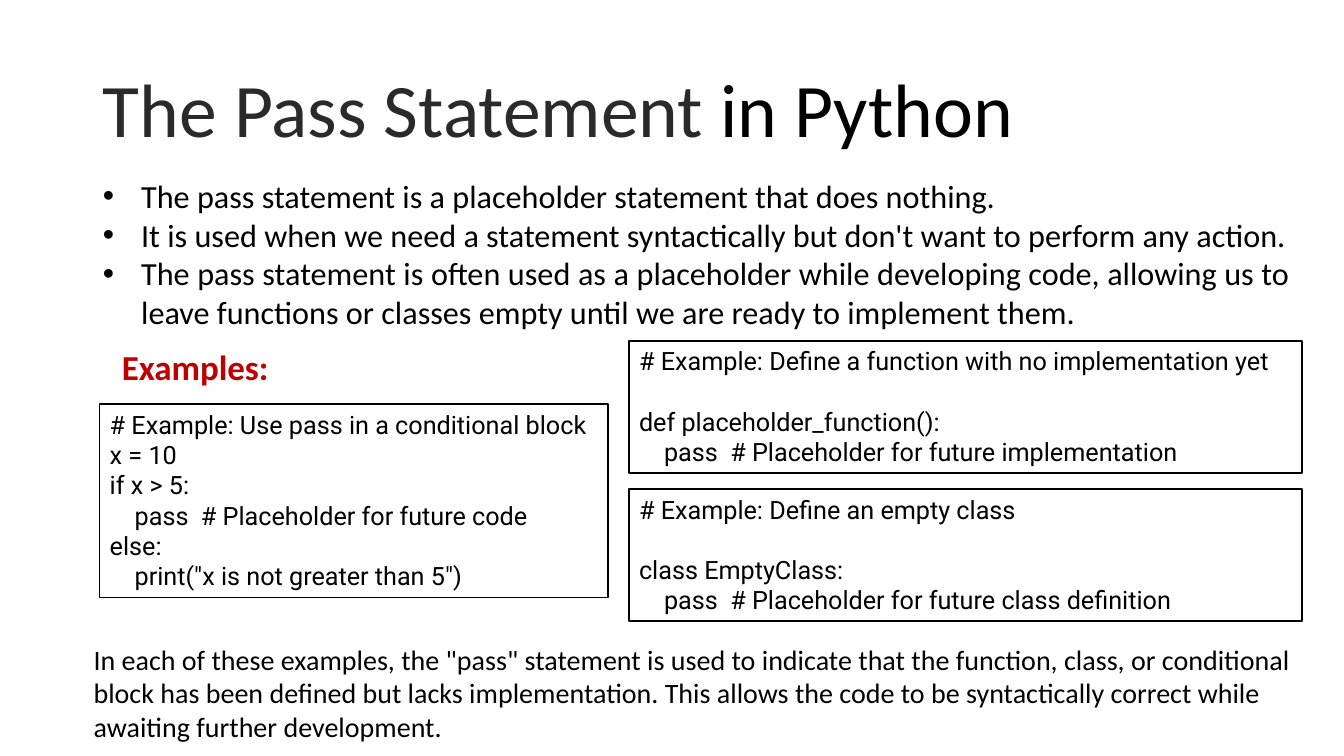
from lxml import etree
from pptx import Presentation
from pptx.dml.color import RGBColor
from pptx.enum.shapes import MSO_SHAPE
from pptx.enum.text import MSO_ANCHOR, MSO_AUTO_SIZE, PP_ALIGN
from pptx.oxml.ns import qn
from pptx.util import Inches, Pt

RECTANGLE = MSO_SHAPE.RECTANGLE
TOP, MIDDLE = MSO_ANCHOR.TOP, MSO_ANCHOR.MIDDLE
NO_AUTOFIT = MSO_AUTO_SIZE.NONE
LEFT, JUSTIFY = PP_ALIGN.LEFT, PP_ALIGN.JUSTIFY

BLACK = RGBColor(0x00, 0x00, 0x00)
CHARCOAL = RGBColor(0x2A, 0x2A, 0x2A)
RED = RGBColor(0xC0, 0x00, 0x00)

BULLETS = [
    "The pass statement is a placeholder statement that does nothing.",
    "It is used when we need a statement syntactically but don't want to perform any action.",
    "The pass statement is often used as a placeholder while developing code, "
    "allowing us to leave functions or classes empty until we are ready to implement them.",
]
CONDITIONAL_CODE = """# Example: Use pass in a conditional block
x = 10
if x > 5:
    pass  # Placeholder for future code
else:
    print("x is not greater than 5")"""
FUNCTION_CODE = """# Example: Define a function with no implementation yet

def placeholder_function():
    pass  # Placeholder for future implementation"""
CLASS_CODE = """# Example: Define an empty class

class EmptyClass:
    pass  # Placeholder for future class definition"""
SUMMARY = (
    'In each of these examples, the "pass" statement is used to indicate that the function, '
    "class, or conditional block has been defined but lacks implementation. This allows the "
    "code to be syntactically correct while awaiting further development."
)


class SlideBuilder:
    text_font = "Calibri"
    code_font = "Roboto"
    code_size = 18
    code_line = Pt(21.6)

    def __init__(self, slide):
        self.slide = slide

    def place(self, shape, left, top, width, height):
        shape.left, shape.top = Inches(left), Inches(top)
        shape.width, shape.height = Inches(width), Inches(height)

    def prepare(self, shape, anchor=TOP, wrap=True):
        frame = shape.text_frame
        frame.auto_size = NO_AUTOFIT
        frame.word_wrap = wrap
        frame.vertical_anchor = anchor
        return frame

    def paragraph(self, frame, index, alignment=LEFT):
        paragraph = frame.add_paragraph() if index else frame.paragraphs[0]
        paragraph.alignment = alignment
        return paragraph

    def run(self, paragraph, text, size, color=BLACK, font=text_font, bold=False):
        run = paragraph.add_run()
        run.text = text
        run.font.name = font
        run.font.size = Pt(size)
        run.font.bold = bold
        run.font.color.rgb = color

    def title(self, runs, size, *box):
        shape = self.slide.shapes.title
        self.place(shape, *box)
        paragraph = self.paragraph(self.prepare(shape, MIDDLE), 0)
        paragraph.line_spacing = 0.9
        for text, color in runs:
            self.run(paragraph, text, size, color)

    def bullets(self, items, size, *box):
        shape = self.slide.placeholders[1]
        self.place(shape, *box)
        frame = self.prepare(shape)
        for index, text in enumerate(items):
            paragraph = self.paragraph(frame, index, JUSTIFY)
            paragraph.space_before = Pt(0)
            properties = paragraph._p.get_or_add_pPr()
            properties.set("marL", str(Inches(0.38)))
            properties.set("indent", str(-Inches(0.38)))
            etree.SubElement(properties, qn("a:buFont")).set("typeface", "Arial")
            etree.SubElement(properties, qn("a:buChar")).set("char", "•")
            self.run(paragraph, text, size)

    def text(self, text, size, *box, color=BLACK, bold=False, alignment=LEFT, wrap=True):
        shape = self.slide.shapes.add_textbox(*map(Inches, box))
        paragraph = self.paragraph(self.prepare(shape, wrap=wrap), 0, alignment)
        self.run(paragraph, text, size, color, bold=bold)

    def code(self, source, line_width, *box):
        shape = self.slide.shapes.add_shape(RECTANGLE, *map(Inches, box))
        shape.shadow.inherit = False
        shape.fill.background()
        shape.line.color.rgb = BLACK
        shape.line.width = Pt(line_width)
        frame = self.prepare(shape)
        blocks = [block.split("\n") for block in source.split("\n\n")]
        lines = [(line, block > 0 and row == 0)
                 for block, rows in enumerate(blocks) for row, line in enumerate(rows)]
        for index, (line, after_gap) in enumerate(lines):
            paragraph = self.paragraph(frame, index)
            if after_gap:
                paragraph.space_before = self.code_line
            self.run(paragraph, line, self.code_size, font=self.code_font)


def main():
    presentation = Presentation()
    presentation.slide_width = Inches(13.33)
    presentation.slide_height = Inches(7.5)
    slide = presentation.slides.add_slide(presentation.slide_layouts[1])
    builder = SlideBuilder(slide)

    builder.title([("The Pass Statement ", CHARCOAL), ("in Python", BLACK)],
                  54, 0.92, 0.4, 11.5, 1.45)
    builder.bullets(BULLETS, 23, 0.92, 1.7, 11.99, 1.65)
    builder.text("Examples:", 25, 1.11, 3.38, 1.68, 0.52,
                 color=RED, bold=True, alignment=JUSTIFY, wrap=False)
    builder.code(CONDITIONAL_CODE, 1, 0.99, 4.01, 5.04, 1.92)
    builder.text(SUMMARY, 20, 0.83, 6.32, 12.5, 1.11)
    for row, source in enumerate([FUNCTION_CODE, CLASS_CODE]):
        builder.code(source, 1.5, 6.24, 3.38 + 1.47 * row, 6.67, 1.31)

    presentation.save("out.pptx")


if __name__ == "__main__":
    main()
